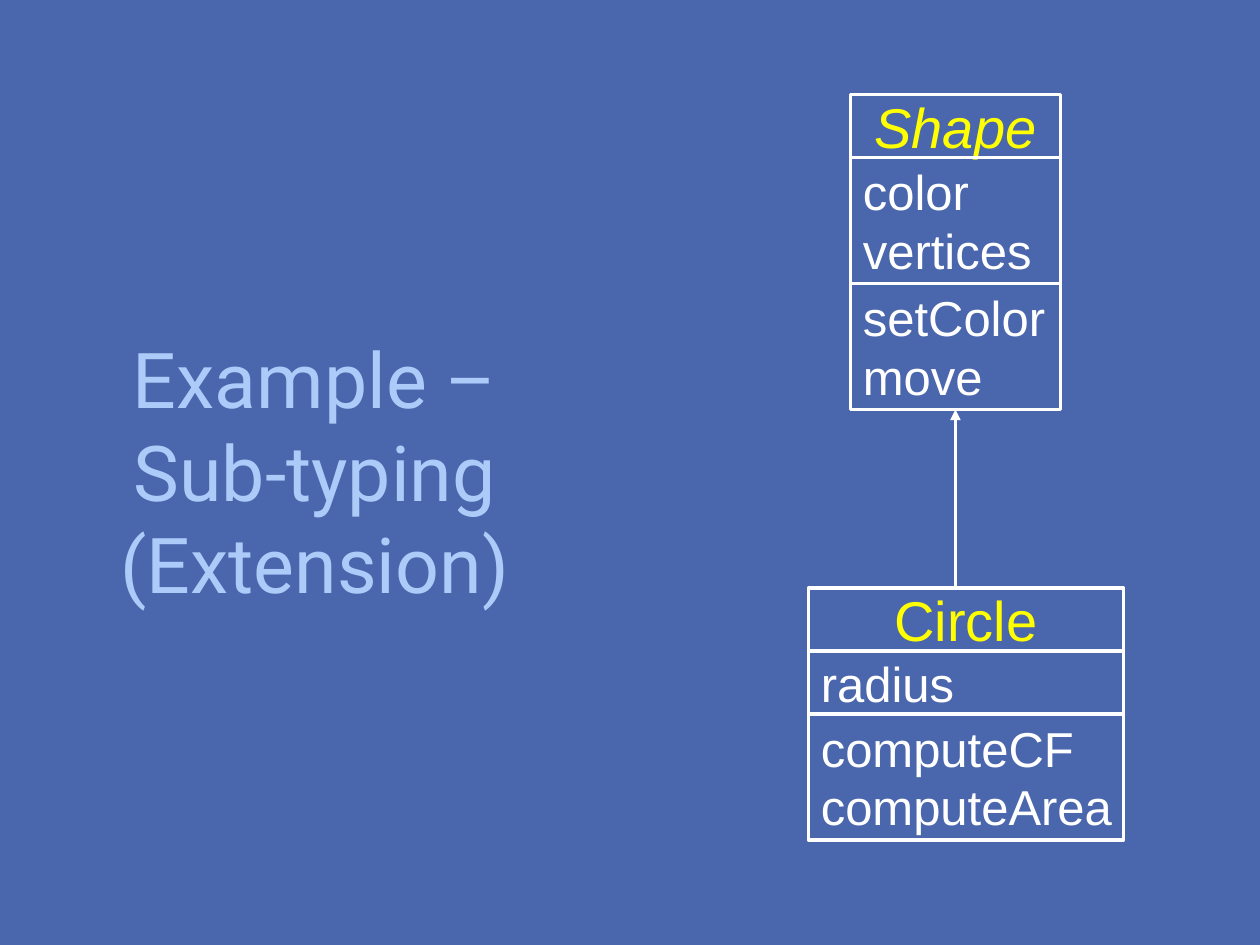
from dataclasses import dataclass

import pptx
import pptx.dml.color
import pptx.enum.shapes
import pptx.enum.text
import pptx.oxml
import pptx.oxml.ns
import pptx.util

ALIGN = pptx.enum.text.PP_ALIGN
UNIT = pptx.util.Inches(1) / 12  # one grid column or row
ROW = 6  # height of one text line, in grid rows


@dataclass(frozen=True)
class Theme:
    back: str = "4A66AC"
    title: str = "ACCBF9"
    name: str = "FFFF00"
    ink: str = "FFFFFF"
    head: str = "Roboto"
    body: str = "Arial"
    big: int = 44
    mid: int = 32
    small: int = 28
    line: int = 2


@dataclass(frozen=True)
class Class:
    name: str
    fields: list[str]
    methods: list[str]
    col: int
    row: int
    cols: int
    italic: bool = False

    @property
    def mid(self) -> float:
        return self.col + self.cols / 2

    @property
    def end(self) -> int:
        return self.row + ROW * (1 + len(self.fields) + len(self.methods))


THEME = Theme()
SHAPE = Class("Shape", ["color", "vertices"], ["setColor", "move"], 81, 9, 20, italic=True)
CIRCLE = Class("Circle", ["radius"], ["computeCF", "computeArea"], 77, 56, 30)


def grid(*units: float) -> list[int]:
    return [round(u * UNIT) for u in units]


def tint(code: str) -> pptx.dml.color.RGBColor:
    return pptx.dml.color.RGBColor.from_string(code)


def write(shape, lines: list[str], *, size: int, color: str, font: str = THEME.body,
          align=ALIGN.LEFT, italic: bool = False) -> None:
    frame = shape.text_frame
    frame.word_wrap = True
    frame.vertical_anchor = pptx.enum.text.MSO_ANCHOR.MIDDLE
    if align == ALIGN.LEFT:
        frame.margin_right = 0  # room for the longest member name
    for i, line in enumerate(lines):
        para = frame.add_paragraph() if i else frame.paragraphs[0]
        para.alignment = align
        run = para.add_run()
        run.text = line
        run.font.name = font
        run.font.size = pptx.util.Pt(size)
        run.font.italic = italic
        run.font.color.rgb = tint(color)


def stroke(line) -> None:
    line.color.rgb = tint(THEME.ink)
    line.width = pptx.util.Pt(THEME.line)


def draw_class(slide, item: Class) -> None:
    """Stack the name, field and method boxes of one class."""
    name = dict(size=THEME.mid, color=THEME.name, align=ALIGN.CENTER, italic=item.italic)
    member = dict(size=THEME.small, color=THEME.ink)
    row = item.row
    for lines, style in (([item.name], name), (item.fields, member), (item.methods, member)):
        high = ROW * len(lines)
        box = slide.shapes.add_shape(pptx.enum.shapes.MSO_SHAPE.RECTANGLE,
                                     *grid(item.col, row, item.cols, high))
        box.shadow.inherit = False
        box.fill.background()
        stroke(box.line)
        write(box, lines, **style)
        row += high


def draw_link(slide, child: Class, base: Class) -> None:
    """Point an arrow from the child class up to its base class."""
    link = slide.shapes.add_connector(pptx.enum.shapes.MSO_CONNECTOR.STRAIGHT,
                                      *grid(base.mid, child.row, base.mid, base.end))
    stroke(link.line)
    tip = pptx.oxml.parse_xml(f'<a:tailEnd {pptx.oxml.ns.nsdecls("a")} type="triangle"/>')
    link.line._get_or_add_ln().append(tip)
    link._element.spPr.append(
        pptx.oxml.parse_xml(f'<a:effectLst {pptx.oxml.ns.nsdecls("a")}/>'))


def main() -> None:
    deck = pptx.Presentation()
    deck.slide_width, deck.slide_height = grid(120, 90)
    slide = deck.slides.add_slide(deck.slide_layouts[6])
    slide.background.fill.solid()
    slide.background.fill.fore_color.rgb = tint(THEME.back)

    title = slide.shapes.add_textbox(*grid(6, 3.6, 48, 82.4))
    write(title, ["Example – Sub-typing (Extension)"], size=THEME.big,
          color=THEME.title, font=THEME.head, align=ALIGN.CENTER)
    for item in (SHAPE, CIRCLE):
        draw_class(slide, item)
    draw_link(slide, CIRCLE, SHAPE)
    deck.save("out.pptx")


if __name__ == "__main__":
    main()
